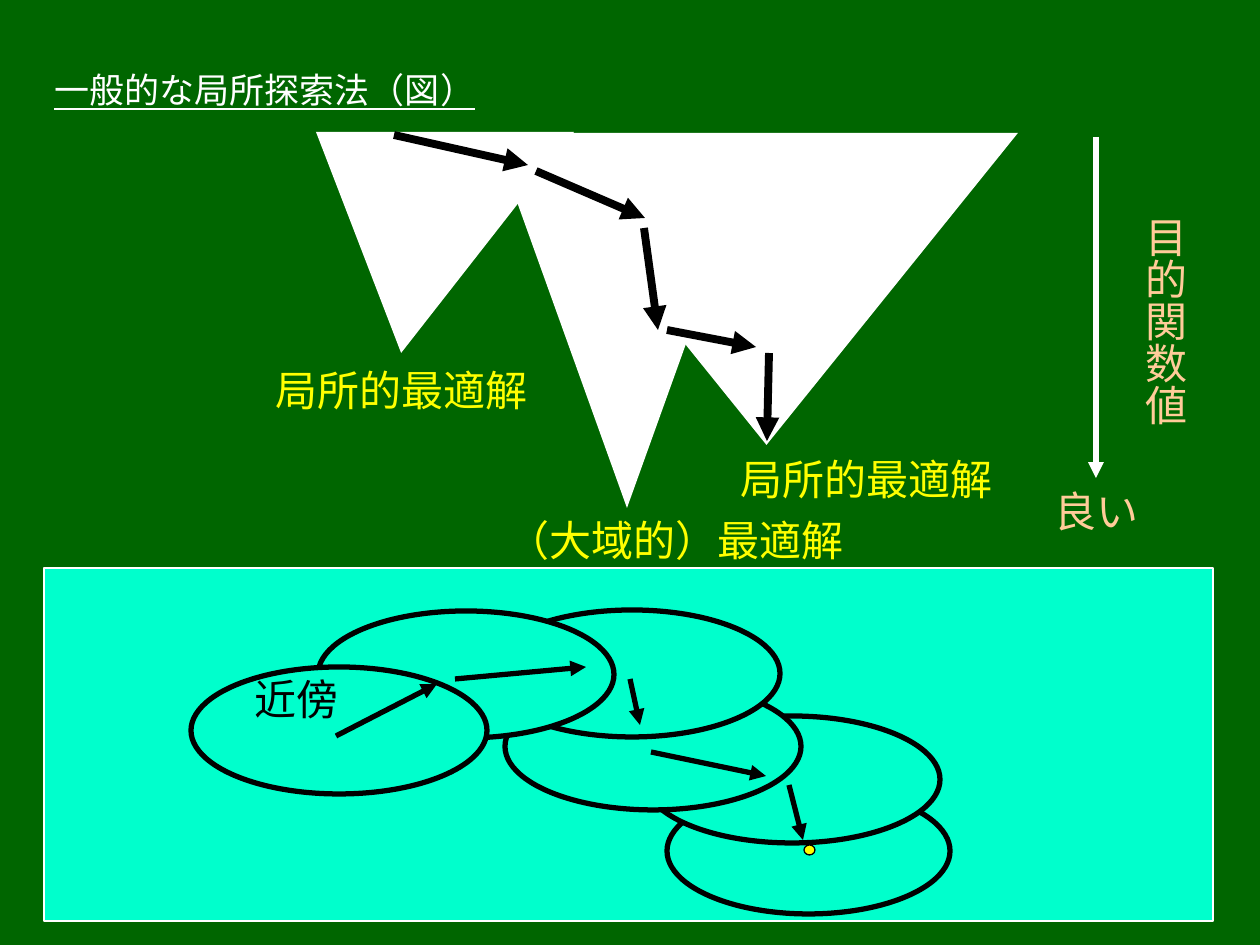
from lxml import etree
from pptx import Presentation
from pptx.dml.color import RGBColor
from pptx.enum.shapes import MSO_CONNECTOR, MSO_SHAPE
from pptx.enum.text import MSO_ANCHOR, MSO_AUTO_SIZE
from pptx.oxml.ns import qn
from pptx.util import Emu, Pt

STRAIGHT = MSO_CONNECTOR.STRAIGHT
ELLIPSE = MSO_SHAPE.OVAL
PANEL = MSO_SHAPE.PARALLELOGRAM
TRIANGLE = MSO_SHAPE.ISOSCELES_TRIANGLE
MIDDLE = MSO_ANCHOR.MIDDLE
FIT_SHAPE = MSO_AUTO_SIZE.SHAPE_TO_FIT_TEXT
FIXED_SIZE = MSO_AUTO_SIZE.NONE

EMU_PER_PX = 914400 / 126
FONT = "Times New Roman"
COLORS = {
    "background": "006600",
    "panel": "00FFCC",
    "optimum": "FFFF00",
    "axis": "FFCC99",
    "white": "FFFFFF",
    "black": "000000",
}


def px(value):
    return Emu(round(value * EMU_PER_PX))


def color(name):
    return RGBColor.from_string(COLORS[name])


class SlideBuilder:
    def __init__(self, slide):
        self.slide = slide
        self.shapes = slide.shapes

    def background(self, name):
        fill = self.slide.background.fill
        fill.solid()
        fill.fore_color.rgb = color(name)

    def start_group(self):
        self.shapes = self.slide.shapes.add_group_shape().shapes

    def end_group(self):
        self.shapes = self.slide.shapes

    def shape(self, kind, box, fill, line=None, width=3, adjustment=None):
        shape = self.shapes.add_shape(kind, *map(px, box))
        shape.shadow.inherit = False
        shape.fill.solid()
        shape.fill.fore_color.rgb = color(fill)
        if line:
            shape.line.color.rgb = color(line)
            shape.line.width = Pt(width)
        else:
            shape.line.fill.background()
        if adjustment is not None:
            shape.adjustments[0] = adjustment
        return shape

    def valley(self, box, tip):
        shape = self.shape(TRIANGLE, box, "white", adjustment=tip)
        shape._element.spPr.find(qn("a:xfrm")).set("flipV", "1")

    def arrow(self, start, end, width, name="black"):
        arrow = self.shapes.add_connector(STRAIGHT, *map(px, (*start, *end)))
        arrow.line.color.rgb = color(name)
        arrow.line.width = Pt(width)
        line = arrow.line._get_or_add_ln()
        etree.SubElement(line, qn("a:tailEnd"), type="triangle")
        etree.SubElement(arrow._element.spPr, qn("a:effectLst"))

    def text(self, words, box, name, frame_format=None, **font_format):
        frame = self.shapes.add_textbox(*map(px, box)).text_frame
        frame_values = {"word_wrap": False, "auto_size": FIT_SHAPE}
        for key, value in {**frame_values, **(frame_format or {})}.items():
            setattr(frame, key, value)
        run = frame.paragraphs[0].add_run()
        run.text = words
        font_values = {"name": FONT, "size": Pt(24)}
        for key, value in {**font_values, **font_format}.items():
            setattr(run.font, key, value)
        run.font.color.rgb = color(name)
        return frame

    def vertical_text(self, words, box, name):
        narrow, wide = Pt(3.6), Pt(7.2)
        margins = {"margin_left": narrow, "margin_right": narrow,
                   "margin_top": wide, "margin_bottom": wide}
        frame = self.text(words, box, name, margins)
        frame._txBody.bodyPr.set("vert", "eaVert")


def main():
    presentation = Presentation()
    presentation.slide_width = px(1260)
    presentation.slide_height = px(945)
    builder = SlideBuilder(presentation.slides.add_slide(presentation.slide_layouts[6]))
    builder.background("background")

    # Solution space and the last neighbourhood
    builder.shape(PANEL, (44, 568, 1169, 353), "panel", "white", 0.75, adjustment=0)
    builder.shape(ELLIPSE, (667, 788, 283, 126), "panel", "black")

    # Title
    title_frame = {"word_wrap": True, "auto_size": FIXED_SIZE, "vertical_anchor": MIDDLE}
    builder.text("一般的な局所探索法（図）", (42, 63, 1113, 53), "white", title_frame,
                 size=Pt(20), underline=True)

    # Names of the optima
    for words, box in (
        ("（大域的）最適解", (495, 508, 364, 63)),
        ("局所的最適解", (728, 447, 280, 63)),
        ("局所的最適解", (263, 358, 280, 63)),
    ):
        builder.text(words, box, "optimum")

    # Valleys of the objective function and the descent through them
    builder.start_group()
    for box, tip in (
        ((498, 149, 258, 359), 0.5),
        ((515, 133, 503, 312), 0.5),
        ((316, 132, 258, 221), 0.33),
    ):
        builder.valley(box, tip)
    for start, end in (
        ((394, 135), (528, 165)),
        ((536, 171), (645, 218)),
        ((644, 228), (658, 330)),
        ((667, 330), (756, 347)),
        ((769, 353), (767, 441)),
    ):
        builder.arrow(start, end, 4.5)

    # Overlapping neighbourhoods, last to first, each with its move
    builder.start_group()
    for corner, start, end in (
        ((644, 716), (789, 785), (803, 840)),
        ((505, 683), (651, 752), (766, 776)),
        ((484, 610), (630, 679), (640, 725)),
        ((318, 611), (455, 679), (586, 667)),
        ((191, 667), (336, 736), (437, 684)),
    ):
        builder.shape(ELLIPSE, (*corner, 296, 127), "panel", "black")
        builder.arrow(start, end, 3)
    builder.end_group()
    builder.text("近傍", (242, 667, 112, 63), "black")

    # Final solution
    builder.shape(ELLIPSE, (804, 845, 11, 10), "optimum", "black", 0.75)

    # Objective value axis
    builder.arrow((1096, 137), (1096, 478), 3, "white")
    builder.vertical_text("目的関数値", (1121, 204, 76, 236), "axis")
    builder.text("良い", (1042, 479, 112, 63), "axis")

    presentation.save("out.pptx")


if __name__ == "__main__":
    main()
